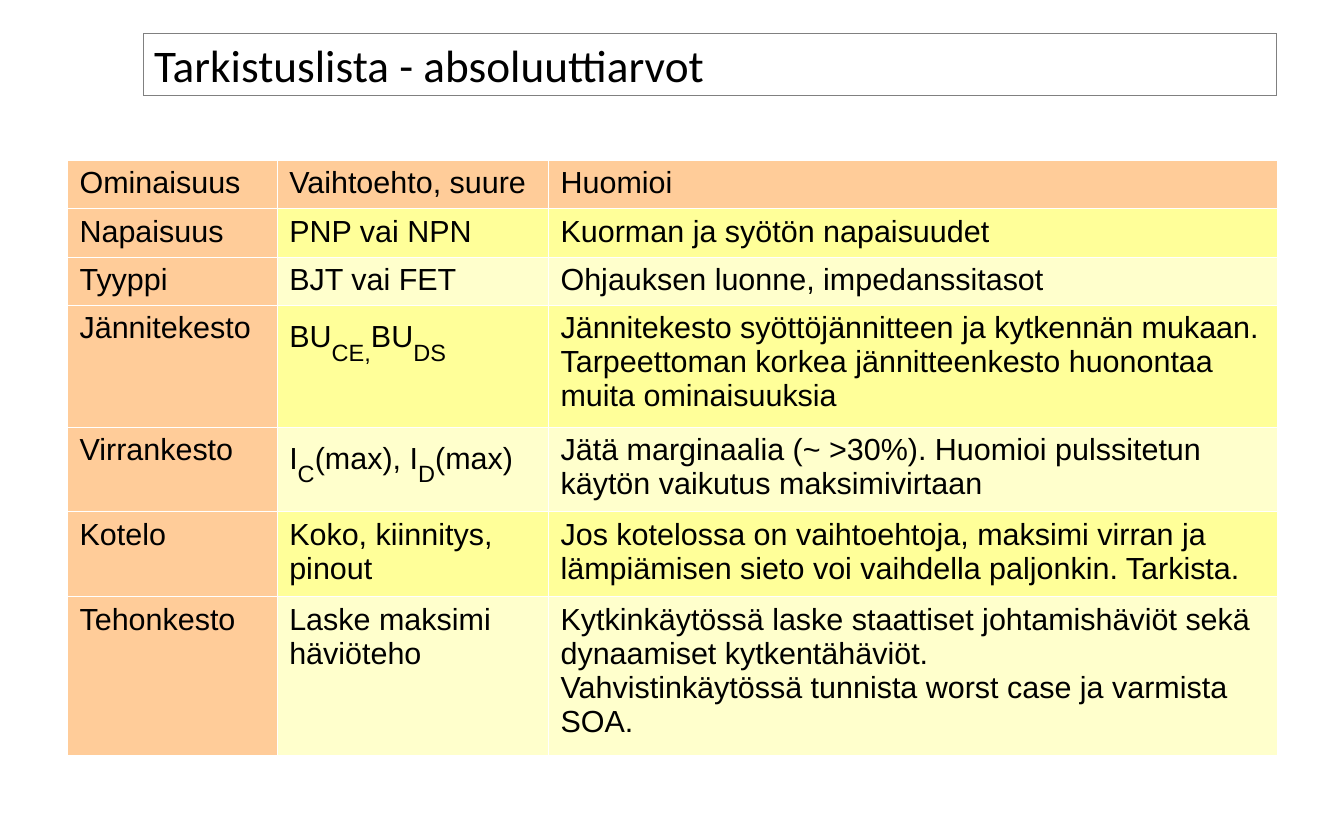
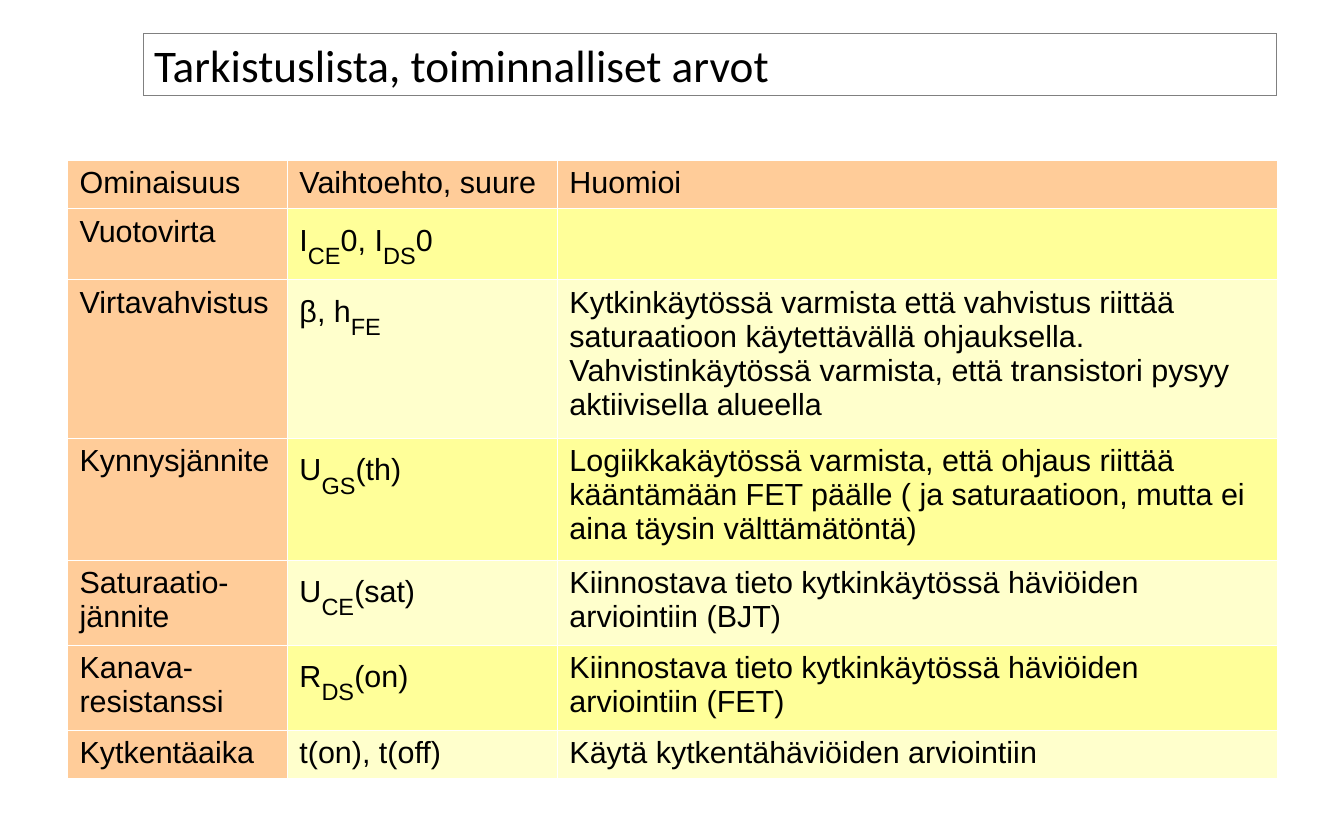
from dataclasses import dataclass

import pptx
import pptx.dml.color
import pptx.enum.text
import pptx.oxml
import pptx.oxml.ns
import pptx.util
from lxml import etree

Pt = pptx.util.Pt


@dataclass(frozen=True)
class Theme:
    ink: str = "000000"
    frame: str = "808080"
    rule: str = "FFFFFF"
    heading: str = "FFCC99"
    bands: tuple = ("FFFF99", "FFFFCC")
    title_font: str = "Calibri"
    body_font: str = "Arial"
    title_size: float = 26.7
    body_size: float = 18
    subscript_size: float = 24
    rule_width: float = 0.06


THEME = Theme()
SLIDE_SIZE = (793.44, 496.08)
TITLE_BOX = (85, 19.6, 668.8, 36.8)
TABLE_ORIGIN = (39.8, 94.6)
ROW_HEIGHT = 28.5
LINE_PITCH = 21.7
SUBSCRIPT_ROW_HEIGHT = 42
HEADINGS = (1, "Ominaisuus", "Vaihtoehto, suure", "Huomioi")

CHECKLISTS = [
    ("Tarkistuslista - absoluuttiarvot", (123.8, 160.2, 430.2), [
        (1, "Napaisuus", "PNP vai NPN", "Kuorman ja syötön napaisuudet"),
        (1, "Tyyppi", "BJT vai FET", "Ohjauksen luonne, impedanssitasot"),
        (3, "Jännitekesto", "BU|CE,|BU|DS",
         "Jännitekesto syöttöjännitteen ja kytkennän mukaan.\n"
         "Tarpeettoman korkea jännitteenkesto huonontaa muita ominaisuuksia"),
        (2, "Virrankesto", "I|C|(max), I|D|(max)",
         "Jätä marginaalia (~ >30%). Huomioi pulssitetun käytön vaikutus "
         "maksimivirtaan"),
        (2, "Kotelo", "Koko, kiinnitys, pinout",
         "Jos kotelossa on vaihtoehtoja, maksimi virran ja lämpiämisen sieto "
         "voi vaihdella paljonkin. Tarkista."),
        (4, "Tehonkesto", "Laske maksimi häviöteho",
         "Kytkinkäytössä laske staattiset johtamishäviöt sekä dynaamiset "
         "kytkentähäviöt.\n"
         "Vahvistinkäytössä tunnista worst case ja varmista SOA."),
    ]),
    ("Tarkistuslista, toiminnalliset arvot", (129.8, 159.4, 425), [
        (1, "Vuotovirta", "I|CE|0, I|DS|0", ""),
        (4, "Virtavahvistus", "β, h|FE",
         "Kytkinkäytössä varmista että vahvistus riittää saturaatioon "
         "käytettävällä ohjauksella.\n"
         "Vahvistinkäytössä varmista, että transistori pysyy aktiivisella "
         "alueella"),
        (3, "Kynnysjännite", "U|GS|(th)",
         "Logiikkakäytössä varmista, että ohjaus riittää kääntämään FET "
         "päälle ( ja saturaatioon, mutta ei aina täysin välttämätöntä)"),
        (2, "Saturaatio-jännite", "U|CE|(sat)",
         "Kiinnostava tieto kytkinkäytössä häviöiden arviointiin (BJT)"),
        (2, "Kanava-resistanssi", "R|DS|(on)",
         "Kiinnostava tieto kytkinkäytössä häviöiden arviointiin (FET)"),
        (1, "Kytkentäaika", "t(on), t(off)",
         "Käytä kytkentähäviöiden arviointiin"),
    ]),
]


def rgb(value):
    return pptx.dml.color.RGBColor.from_string(value)


def apply(target, formats):
    for key, value in formats.items():
        setattr(target, key, value)


def style_font(font, name, size):
    apply(font, {"name": name, "size": Pt(size), "bold": False})
    font.color.rgb = rgb(THEME.ink)


def place_title(slide, text, box):
    title = slide.shapes.title
    apply(title, dict(zip(("left", "top", "width", "height"), map(Pt, box))))
    title.line.color.rgb = rgb(THEME.frame)
    title.line.width = Pt(0)
    frame = title.text_frame
    apply(frame, {
        "text": text,
        "word_wrap": True,
        "auto_size": pptx.enum.text.MSO_AUTO_SIZE.NONE,
        "vertical_anchor": pptx.enum.text.MSO_ANCHOR.MIDDLE,
        "margin_left": Pt(6), "margin_right": 0,
        "margin_top": 0, "margin_bottom": 0,
    })
    paragraph = frame.paragraphs[0]
    paragraph.alignment = pptx.enum.text.PP_ALIGN.LEFT
    style_font(paragraph.runs[0].font, THEME.title_font, THEME.title_size)


def write_line(paragraph, text):
    for index, part in enumerate(text.split("|")):
        if not part:
            continue
        run = paragraph.add_run()
        run.text = part
        subscript = index % 2 == 1
        size = THEME.subscript_size if subscript else THEME.body_size
        style_font(run.font, THEME.body_font, size)
        if subscript:
            run.font._element.set("baseline", "-33000")


def rule_cell(cell):
    properties = cell._tc.get_or_add_tcPr()
    qn = pptx.oxml.ns.qn
    for side in ("a:lnL", "a:lnR", "a:lnT", "a:lnB"):
        edge = etree.SubElement(properties, qn(side), w=str(Pt(THEME.rule_width)))
        fill = etree.SubElement(edge, qn("a:solidFill"))
        etree.SubElement(fill, qn("a:srgbClr"), val=THEME.rule)


def fill_cell(cell, text, colour):
    rule_cell(cell)
    cell.fill.solid()
    cell.fill.fore_color.rgb = rgb(colour)
    apply(cell, {"margin_left": Pt(7.2), "margin_right": Pt(7.2),
                 "margin_top": Pt(3.6), "margin_bottom": Pt(3.6)})
    frame = cell.text_frame
    for index, line in enumerate(text.split("\n")):
        write_line(frame.add_paragraph() if index else frame.paragraphs[0], line)


def row_height(lines, symbol):
    smallest = SUBSCRIPT_ROW_HEIGHT if "|" in symbol else ROW_HEIGHT
    return max(smallest, ROW_HEIGHT + LINE_PITCH * (lines - 1))


def place_checklist(slide, origin, widths, properties):
    rows = [HEADINGS, *properties]
    heights = [row_height(lines, symbol) for lines, _, symbol, _ in rows]
    extent = (*origin, sum(widths), sum(heights))
    table = slide.shapes.add_table(len(rows), len(widths), *map(Pt, extent)).table
    apply(table, {"first_row": False, "horz_banding": False})
    for column, width in zip(table.columns, widths):
        column.width = Pt(width)
    for r, (_, *texts) in enumerate(rows):
        table.rows[r].height = Pt(heights[r])
        for c, text in enumerate(texts):
            is_heading = r == 0 or c == 0
            colour = THEME.heading if is_heading else THEME.bands[(r - 1) % 2]
            fill_cell(table.cell(r, c), text, colour)


def build_slide(deck, title, widths, properties):
    slide = deck.slides.add_slide(deck.slide_layouts[5])
    place_title(slide, title, TITLE_BOX)
    place_checklist(slide, TABLE_ORIGIN, widths, properties)


def main():
    deck = pptx.Presentation()
    deck.slide_width, deck.slide_height = map(Pt, SLIDE_SIZE)
    for checklist in CHECKLISTS:
        build_slide(deck, *checklist)
    deck.save("out.pptx")


if __name__ == "__main__":
    main()
